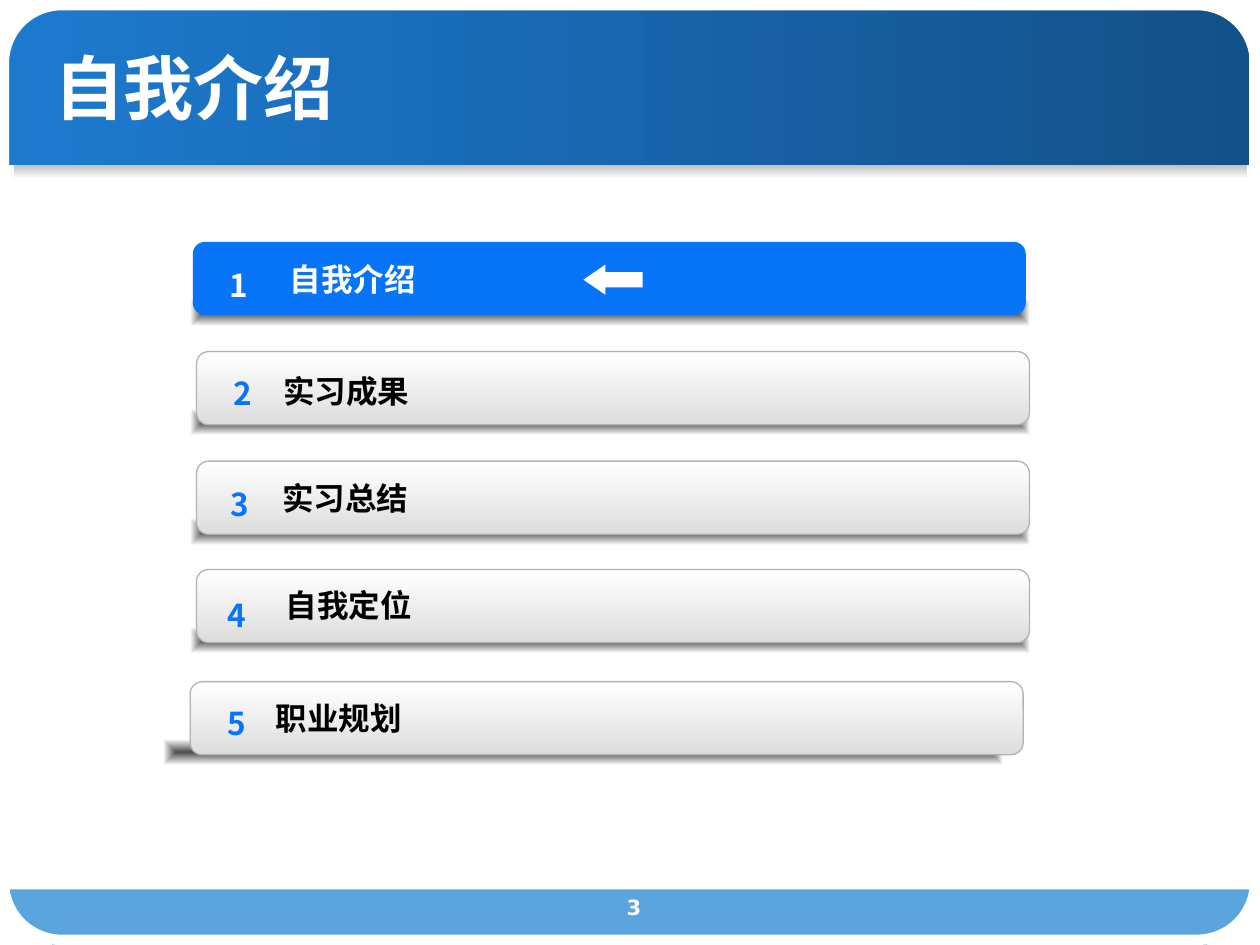
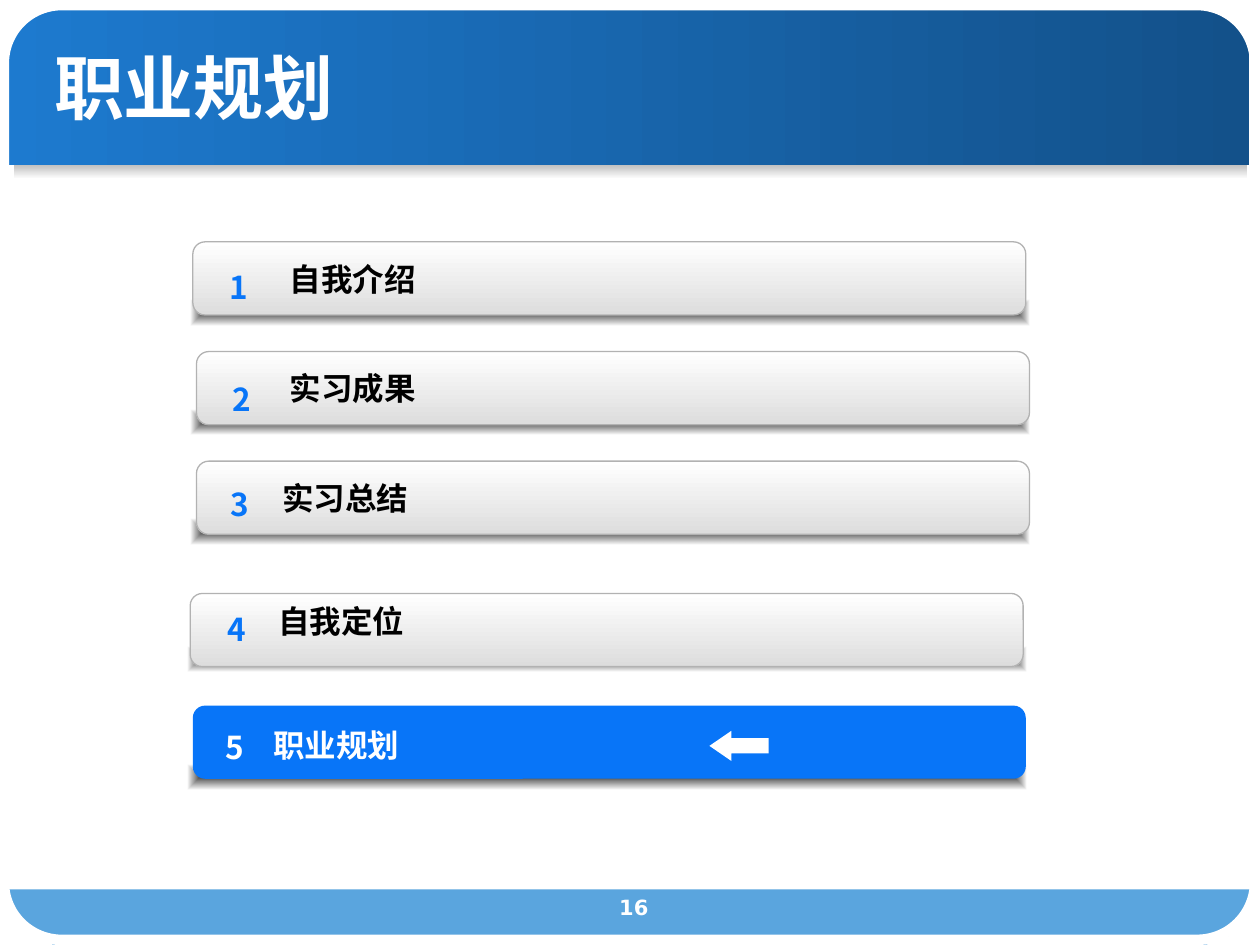
from lxml.etree import SubElement
from pptx import Presentation
from pptx.dml.color import RGBColor
from pptx.enum.shapes import MSO_SHAPE
from pptx.enum.text import MSO_ANCHOR, PP_ALIGN
from pptx.oxml import parse_xml
from pptx.oxml.ns import nsdecls, qn
from pptx.util import Pt

WHITE, BLACK, BLUE = "FFFFFF", "000000", "0875F8"
FOOTER, BORDER = "5AA5DE", "B2B2B2"
HEADER_STOPS = [("1D7ACF", 100), ("13518A", 100)]
HEADER_SHADE_STOPS = [("C0C0C0", 100), (WHITE, 100)]
BAR_STOPS = [(WHITE, 100), ("DDDDDD", 100)]
SHADOW_STOPS = [(BLACK, 70), (BLACK, 0)]
CJK = "Noto Sans CJK SC"
BAR_W, BAR_H = 476, 41.8
SHADOW_W, SHADOW_H = 479.5, 14.4

CORNERS = [
    [(0, 35.3), (9.4, 18), (19.4, 4.3), (34.6, 0), (0, 0)],
    [(30.2, 540), (14.4, 527.8), (2.9, 516.2), (0, 498.2), (0, 540)],
    [(720, 503.3), (711.4, 521.3), (702, 535), (689, 540), (720, 540)],
    [(684, 0), (702, 10.1), (715.7, 20.9), (720, 36), (720, 0)],
]

# item: label, bar (x, y), shadow (x, y), number (centre x, top), label (x, centre y)
SLIDES = [
    {
        "title": "自我介绍", "page": "3", "active": 1, "arrow": (333.4, 151.2),
        "items": [
            ("自我介绍", (110.2, 138.2), (108.7, 171.4), (136.4, 148.3), (165.6, 159.1)),
            ("实习成果", (112.3, 200.9), (108.7, 234), (139, 210.2), (162, 223.2)),
            ("实习总结", (112.3, 263.5), (108.7, 296.6), (136.8, 273.6), (161.3, 284.4)),
            ("自我定位", (112.3, 325.4), (108.7, 358.6), (135.4, 337), (163.4, 345.6)),
            ("职业规划", (108.7, 389.5), (93.6, 422.6), (135.4, 398.9), (157.7, 410.4)),
        ],
    },
    {
        "title": "职业规划", "page": "16", "active": 5, "arrow": (405.4, 417.6),
        "items": [
            ("自我介绍", (110.2, 138.2), (108.7, 171.4), (136.4, 149.8), (165.6, 159.1)),
            ("实习成果", (112.3, 200.9), (108.7, 234), (137.9, 213.8), (165.6, 221.8)),
            ("实习总结", (112.3, 263.5), (108.7, 296.6), (136.8, 273.6), (161.3, 284.4)),
            ("自我定位", (108.7, 339.1), (107.3, 369.4), (135.4, 344.9), (159.1, 355)),
            ("职业规划", (110.2, 403.2), (107.3, 437), (133.9, 412.6), (156.2, 425.5)),
        ],
    },
]


def rgb(color):
    return RGBColor.from_string(color)


def gradient(sp, stops, angle=None):
    gs = "".join(
        f'<a:gs pos="{i * 100000}"><a:srgbClr val="{c}"><a:alpha val="{a * 1000}"/></a:srgbClr></a:gs>'
        for i, (c, a) in enumerate(stops))
    if angle is None:
        way = '<a:path path="rect"><a:fillToRect l="50000" t="50000" r="50000" b="50000"/></a:path>'
    else:
        way = f'<a:lin ang="{angle * 60000}" scaled="0"/>'
    fill = parse_xml(f'<a:gradFill {nsdecls("a")} rotWithShape="1"><a:gsLst>{gs}</a:gsLst>{way}</a:gradFill>')
    sp.fill.background()
    spPr = sp._element.spPr
    spPr.replace(spPr.find(qn("a:noFill")), fill)


def style(sp, fill=None, line=None, width=0.75):
    sp.shadow.inherit = False
    if fill:
        sp.fill.solid()
        sp.fill.fore_color.rgb = rgb(fill)
    else:
        sp.fill.background()
    if line:
        sp.line.color.rgb = rgb(line)
        sp.line.width = Pt(width)
    else:
        sp.line.fill.background()


def add_shape(s, kind, x, y, w, h, adj=(), **look):
    sp = s.shapes.add_shape(kind, Pt(x), Pt(y), Pt(w), Pt(h))
    for i, value in enumerate(adj):
        sp.adjustments[i] = value
    style(sp, **look)
    return sp


def add_text(s, text, x, y, w, h, size, color, font=CJK, align=PP_ALIGN.LEFT,
             anchor=MSO_ANCHOR.TOP, inset=0, wrap=True):
    tf = s.shapes.add_textbox(Pt(x), Pt(y), Pt(w), Pt(h)).text_frame
    tf.word_wrap = wrap
    tf.vertical_anchor = anchor
    tf.margin_left = tf.margin_right = Pt(inset)
    tf.margin_top = tf.margin_bottom = Pt(3.6)
    p = tf.paragraphs[0]
    p.alignment = align
    r = p.add_run()
    r.text = text
    r.font.size = Pt(size)
    r.font.bold = True
    r.font.name = font
    r.font.color.rgb = rgb(color)
    SubElement(r._r.get_or_add_rPr(), qn("a:ea"), typeface=CJK)


def add_frame(s, title, page):
    rect = MSO_SHAPE.RECTANGLE
    gradient(add_shape(s, rect, 0, 0.7, 713.5, 93.6), HEADER_STOPS, 0)
    add_shape(s, rect, 0, 508.3, 718.6, 31.7, fill=FOOTER)
    gradient(add_shape(s, rect, 7.9, 94.3, 704.9, 7.9), HEADER_SHADE_STOPS, 90)
    add_shape(s, MSO_SHAPE.ROUNDED_RECTANGLE, 2.2, 2.9, 715, 534.2, [0.062], line=WHITE, width=6)
    for corner in CORNERS:
        start, *rest = [(Pt(x), Pt(y)) for x, y in corner]
        fb = s.shapes.build_freeform(*start)
        fb.add_line_segments(rest)
        style(fb.convert_to_shape(), fill=WHITE)
    add_text(s, title, 23.8, 27.4, 653.8, 44.6, 40, WHITE, "Arial", anchor=MSO_ANCHOR.MIDDLE, inset=7.2)
    add_text(s, page, 326.2, 507.6, 72, 25.2, 12, WHITE, "DejaVu Sans", PP_ALIGN.CENTER, inset=7.2)


def add_agenda(s, items, active, arrow):
    for _, _, shadow, _, _ in items:
        gradient(add_shape(s, MSO_SHAPE.RECTANGLE, *shadow, SHADOW_W, SHADOW_H), SHADOW_STOPS)
    for n, (label, bar, _, (num_x, num_y), (text_x, text_y)) in enumerate(items, 1):
        on = n == active
        sp = add_shape(s, MSO_SHAPE.ROUNDED_RECTANGLE, *bar, BAR_W, BAR_H, [0.167],
                       fill=BLUE if on else None, line=None if on else BORDER)
        if not on:
            gradient(sp, BAR_STOPS, 90)
        add_text(s, str(n), num_x - 15, num_y, 30, 33, 18, WHITE if on else BLUE, align=PP_ALIGN.CENTER)
        add_text(s, label, text_x, text_y - BAR_H / 2, 160, BAR_H, 18,
                 WHITE if on else BLACK, anchor=MSO_ANCHOR.MIDDLE)
    add_shape(s, MSO_SHAPE.LEFT_ARROW, *arrow, 33.8, 17.3, [0.503, 0.728], fill=WHITE)


def main():
    prs = Presentation()
    prs.slide_width, prs.slide_height = Pt(720), Pt(540)
    for data in SLIDES:
        s = prs.slides.add_slide(prs.slide_layouts[6])
        add_frame(s, data["title"], data["page"])
        add_agenda(s, data["items"], data["active"], data["arrow"])
    prs.save("out.pptx")


if __name__ == "__main__":
    main()
